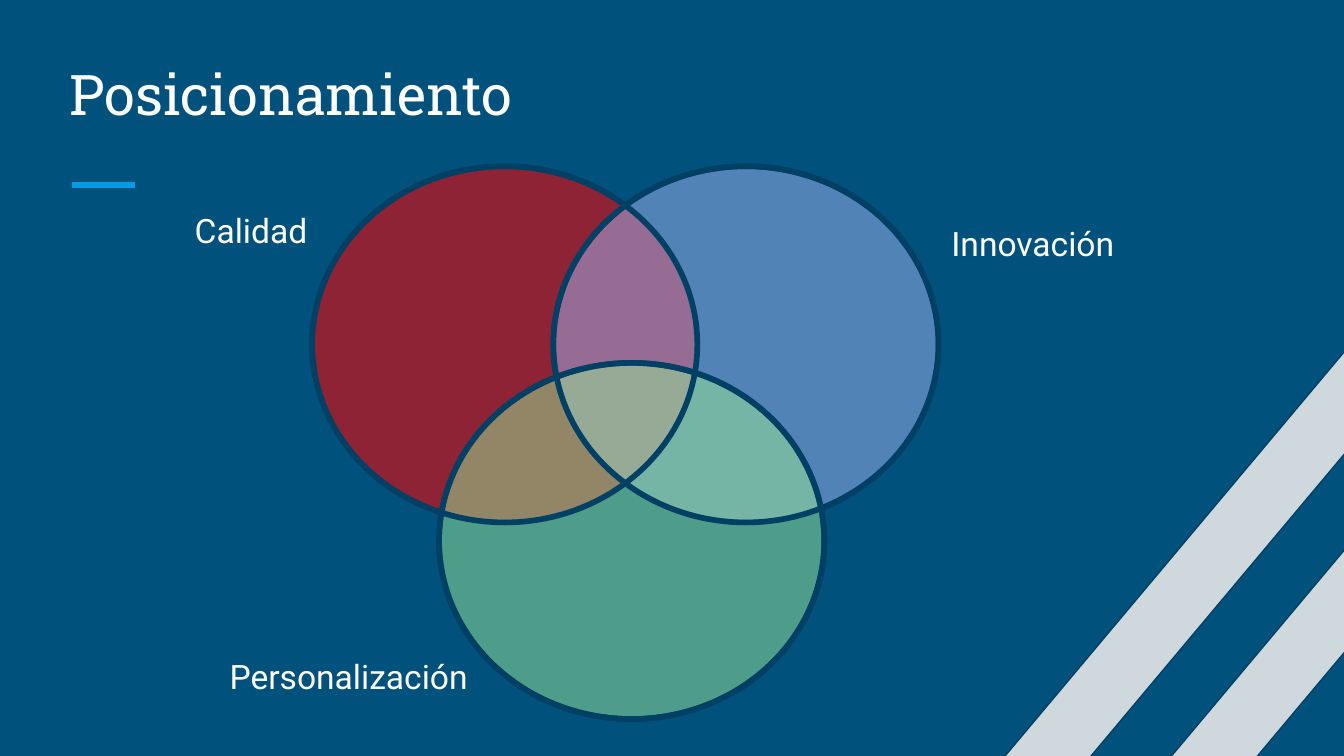
"""Build the positioning slide with a three-circle Venn diagram."""
from lxml.etree import SubElement
from pptx import Presentation
from pptx.dml.color import RGBColor
from pptx.enum.shapes import MSO_CONNECTOR, MSO_SHAPE
from pptx.enum.text import MSO_ANCHOR, MSO_AUTO_SIZE, PP_ALIGN
from pptx.oxml.ns import qn
from pptx.util import Pt

COLORS = {
    "background": "00517C",
    "accent": "039BE5",
    "stripe": "CFD8DC",
    "outline": "004065",
    "text": "FFFFFF",
    "quality": "FF0000",
    "innovation": "A0B4EF",
    "customization": "98E798",
}


def color(name):
    return RGBColor.from_string(COLORS[name])


def write_text(shape, text, font_name, size, anchor):
    frame = shape.text_frame
    frame.text = text
    frame.word_wrap = True
    frame.auto_size = MSO_AUTO_SIZE.NONE
    frame.vertical_anchor = anchor
    frame.margin_left = frame.margin_right = Pt(7.2)
    frame.margin_top = frame.margin_bottom = Pt(7.2)
    paragraph = frame.paragraphs[0]
    paragraph.alignment = PP_ALIGN.LEFT
    paragraph.font.name = font_name
    paragraph.font.size = Pt(size)
    paragraph.font.color.rgb = color("text")


presentation = Presentation()
presentation.slide_width = Pt(720)
presentation.slide_height = Pt(405)
slide = presentation.slides.add_slide(presentation.slide_layouts[5])
slide.background.fill.solid()
slide.background.fill.fore_color.rgb = color("background")

title = slide.shapes.title
title.left, title.top, title.width, title.height = Pt(30.2), Pt(20.9), Pt(658.5), Pt(54)
write_text(title, "Posicionamiento", "Roboto Slab", 30, MSO_ANCHOR.BOTTOM)

accent = slide.shapes.add_connector(
    MSO_CONNECTOR.STRAIGHT, Pt(38.7), Pt(99.2), Pt(72.2), Pt(99.2)
)
accent.line.color.rgb = color("accent")
accent.line.width = Pt(3)
SubElement(accent._element.spPr, qn("a:effectLst"))

for left, top in [(618.5, 137.5), (669.6, 182.9)]:
    stripe = slide.shapes.add_shape(
        MSO_SHAPE.ROUNDED_RECTANGLE, Pt(left), Pt(top), Pt(35.3), Pt(357)
    )
    stripe.rotation = 40
    stripe.shadow.inherit = False
    stripe.fill.solid()
    stripe.fill.fore_color.rgb = color("stripe")
    stripe.line.color.rgb = color("outline")
    stripe.line.width = Pt(0.75)

circles = [
    ("quality", 56, 167.2, 89.1),
    ("innovation", 51, 296.4, 89.1),
    ("customization", 51, 235.2, 194.4),
]
for filled in (True, False):
    for name, opacity, left, top in circles:
        circle = slide.shapes.add_shape(
            MSO_SHAPE.OVAL, Pt(left), Pt(top), Pt(206.4), Pt(190.8)
        )
        circle.shadow.inherit = False
        circle.line.color.rgb = color("outline")
        circle.line.width = Pt(3)
        if filled:
            circle.fill.solid()
            circle.fill.fore_color.rgb = color(name)
            fill_color = circle._element.spPr.find(".//" + qn("a:srgbClr"))
            SubElement(fill_color, qn("a:alpha"), val=str(opacity * 1000))
        else:
            circle.fill.background()

labels = [
    ("Calidad", 97.2, 105.1, 97.2),
    ("Innovación", 502.6, 112.3, 112.3),
    ("Personalización", 115.9, 344.2, 161.3),
]
for text, left, top, width in labels:
    label = slide.shapes.add_textbox(Pt(left), Pt(top), Pt(width), Pt(33.8))
    write_text(label, text, "Roboto", 18, MSO_ANCHOR.TOP)

presentation.save("out.pptx")
